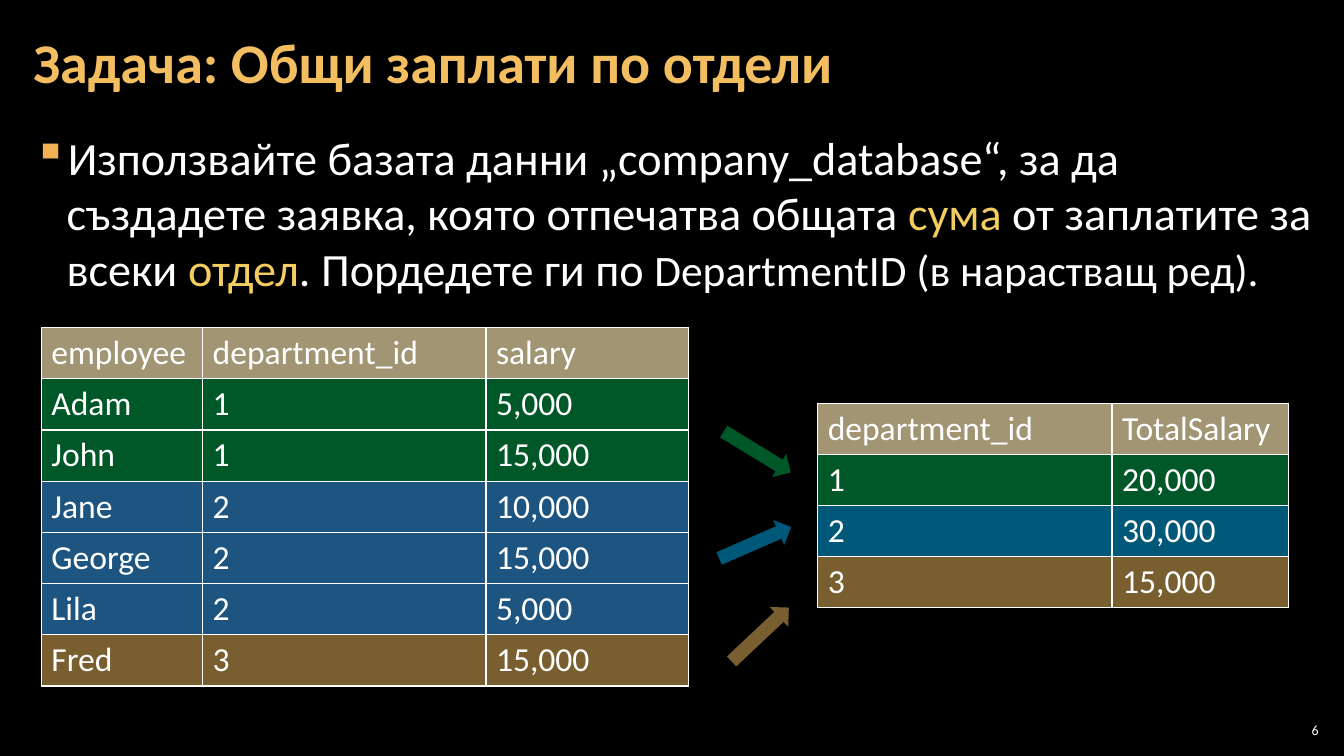
from dataclasses import dataclass

from lxml import etree
from pptx import Presentation
from pptx import util as u
from pptx.dml.color import RGBColor
from pptx.enum import shapes, text
from pptx.oxml.ns import qn

PX = 9144  # EMU per px, 100 px to the inch


@dataclass(frozen=True)
class Theme:
    font: str = "Calibri"
    back: str = "000000"
    ink: str = "FFFFFF"
    title: str = "F3BE60"
    accent: str = "F3CD60"
    bullet: str = "F2B254"
    header: str = "A19574"
    green: str = "00B050"
    blue: str = "3BABFF"
    cyan: str = "00B0F0"
    gold: str = "F3BE60"
    title_pt: int = 40
    body_pt: int = 33
    note_pt: int = 31
    table_pt: int = 24
    number_pt: int = 10
    tint: int = 50  # opacity of group colours, percent


T = Theme()


def px(n):
    return u.Emu(round(n * PX))


def assign(obj, values):
    for name, value in values.items():
        setattr(obj, name, value)


def place(sp, box):
    assign(sp, dict(zip(("left", "top", "width", "height"), map(px, box))))


def add_xml(parent, tag, **attrs):
    return etree.SubElement(parent, qn(tag), attrs)


def paint(fill, holder, color, opacity=100):
    fill.solid()
    fill.fore_color.rgb = RGBColor.from_string(color)
    if opacity < 100:
        clr = holder.find(qn("a:solidFill")).find(qn("a:srgbClr"))
        add_xml(clr, "a:alpha", val=str(opacity * 1000))


def add_run(p, words, size, color=T.ink, bold=False):
    r = p.add_run()
    r.text = words
    assign(r.font, {"name": T.font, "size": u.Pt(size), "bold": bold})
    r.font.color.rgb = RGBColor.from_string(color)


def set_frame(tf, anchor, sides=12):
    assign(tf, {
        "word_wrap": True, "auto_size": text.MSO_AUTO_SIZE.NONE,
        "vertical_anchor": anchor,
        "margin_left": px(sides), "margin_right": px(sides),
        "margin_top": px(4), "margin_bottom": px(4),
    })


def add_title(slide, box, words):
    sp = slide.shapes.title
    place(sp, box)
    set_frame(sp.text_frame, text.MSO_ANCHOR.MIDDLE)
    p = sp.text_frame.paragraphs[0]
    assign(p, {"alignment": text.PP_ALIGN.LEFT, "line_spacing": 0.9})
    add_run(p, words, T.title_pt, T.title, True)


def add_task(slide, box, runs):
    tf = slide.shapes.add_textbox(*map(px, box)).text_frame
    set_frame(tf, text.MSO_ANCHOR.TOP)
    tf.margin_right = px(10)
    p = tf.paragraphs[0]
    assign(p, {"space_before": u.Pt(6), "space_after": u.Pt(6)})
    for run in runs:
        add_run(p, *run)
    # Square bullet with a hanging indent
    ppr = p._p.get_or_add_pPr()
    ppr.set("marL", str(px(33)))
    ppr.set("indent", str(px(-33)))
    add_xml(add_xml(ppr, "a:buClr"), "a:srgbClr", val=T.bullet)
    add_xml(ppr, "a:buChar", char="▪")


def add_page_number(slide, box, number):
    tf = slide.shapes.add_textbox(*map(px, box)).text_frame
    set_frame(tf, text.MSO_ANCHOR.MIDDLE, 4)
    p = tf.paragraphs[0]
    p.alignment = text.PP_ALIGN.RIGHT
    add_run(p, number, T.number_pt)


def add_borders(tcpr):
    for i, side in enumerate(("a:lnL", "a:lnR", "a:lnT", "a:lnB")):
        ln = add_xml(tcpr, side, w=str(u.Pt(1)))
        add_xml(add_xml(ln, "a:solidFill"), "a:srgbClr", val=T.ink)
        tcpr.insert(i, ln)


def add_grid(slide, left, top, widths, row_height, header, rows):
    """Draw a header and rows of (colour, values)."""
    lines = [(T.header, 100, header)] + [(c, T.tint, v) for c, v in rows]
    box = (left, top, sum(widths), row_height * len(lines))
    table = slide.shapes.add_table(len(lines), len(widths), *map(px, box)).table
    assign(table, {"first_row": False, "horz_banding": False})
    for column, width in zip(table.columns, widths):
        column.width = px(width)
    for row, (color, opacity, values) in zip(table.rows, lines):
        row.height = px(row_height)
        for cell, value in zip(row.cells, values):
            tcpr = cell._tc.get_or_add_tcPr()
            paint(cell.fill, tcpr, color, opacity)
            add_borders(tcpr)
            add_run(cell.text_frame.paragraphs[0], value, T.table_pt)


def add_arrow(slide, box, angle, color):
    sp = slide.shapes.add_shape(shapes.MSO_SHAPE.RIGHT_ARROW, *map(px, box))
    sp.rotation = angle
    sp.shadow.inherit = False
    paint(sp.fill, sp._element.spPr, color, T.tint)
    sp.line.fill.background()


def build_slide(prs):
    slide = prs.slides.add_slide(prs.slide_layouts[5])
    fill = slide.background.fill
    fill.solid()
    fill.fore_color.rgb = RGBColor.from_string(T.back)

    # Task statement
    add_task(slide, (21, 124, 1291, 609), [
        ("Използвайте базата данни „company_database“, за да създадете "
         "заявка, която отпечатва общата ", T.body_pt),
        ("сума ", T.body_pt, T.accent),
        ("от заплатите за всеки ", T.body_pt),
        ("отдел", T.body_pt, T.accent),
        (". Пордедете ги по ", T.body_pt),
        ("DepartmentID (в нарастващ ред).", T.note_pt),
    ])
    add_title(slide, (21, 4, 1047, 121), "Задача: Общи заплати по отдели")
    add_page_number(slide, (1265, 714, 47, 21), "6")

    # Salaries by employee
    add_grid(slide, 41, 325, (160, 281, 201), 50.8,
             ("employee", "department_id", "salary"), [
                 (T.green, ("Adam", "1", "5,000")),
                 (T.green, ("John", "1", "15,000")),
                 (T.blue, ("Jane", "2", "10,000")),
                 (T.blue, ("George", "2", "15,000")),
                 (T.blue, ("Lila", "2", "5,000")),
                 (T.gold, ("Fred", "3", "15,000")),
             ])

    # Totals by department
    add_grid(slide, 811, 400, (292, 175), 50.5,
             ("department_id", "TotalSalary"), [
                 (T.green, ("1", "20,000")),
                 (T.cyan, ("2", "30,000")),
                 (T.gold, ("3", "15,000")),
             ])

    # Arrows from each group to its total
    for left, top, angle, color in ((712, 435, 31.4, T.green),
                                    (710, 525, 336.4, T.cyan),
                                    (715, 616, 316.7, T.gold)):
        add_arrow(slide, (left, top, 78, 27), angle, color)


def main():
    prs = Presentation()
    assign(prs, {"slide_width": px(1333), "slide_height": px(750)})
    build_slide(prs)
    prs.save("out.pptx")


if __name__ == "__main__":
    main()
